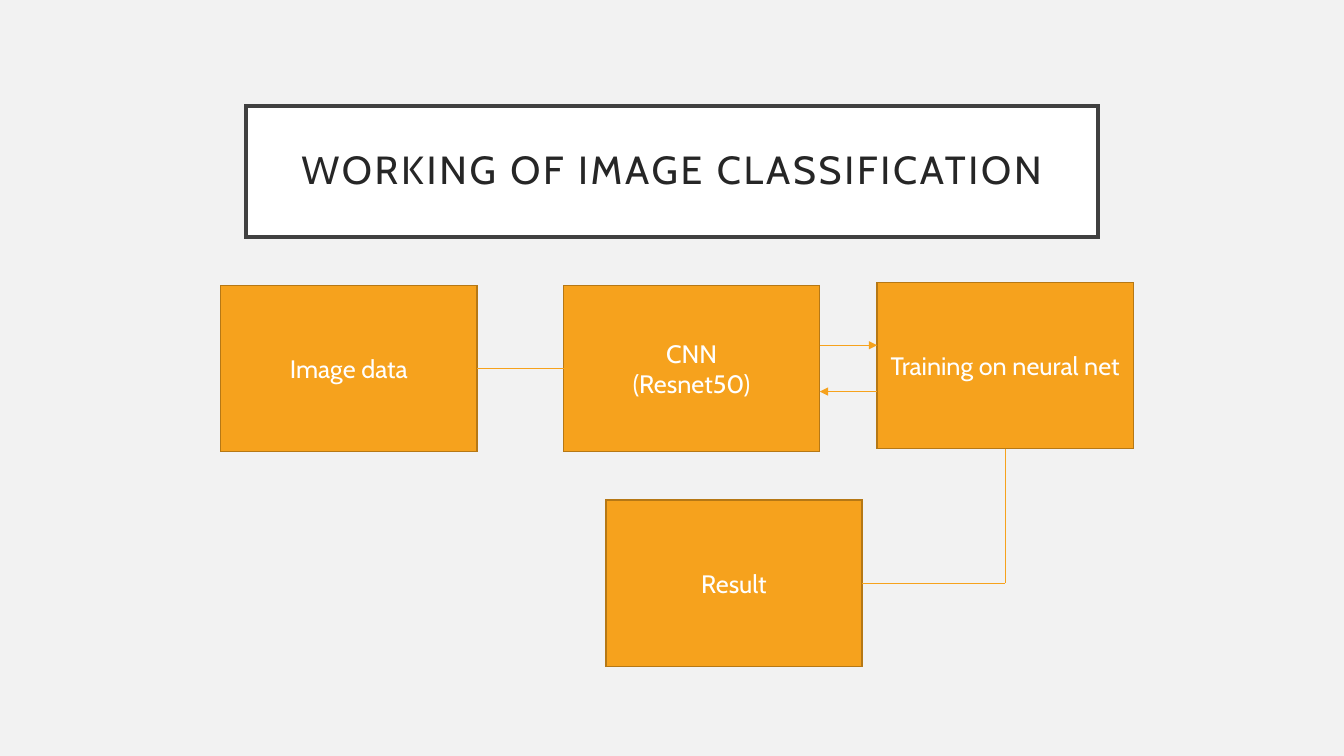
from lxml.etree import SubElement
from pptx import Presentation
from pptx.dml.color import RGBColor
from pptx.enum.shapes import MSO_CONNECTOR, MSO_SHAPE
from pptx.enum.text import MSO_ANCHOR, PP_ALIGN
from pptx.oxml.ns import qn
from pptx.util import Inches, Pt

COLORS = {
    "background": "F2F2F2", "white": "FFFFFF", "frame": "404040",
    "title": "262626", "box": "F6A21D", "edge": "B67815",
}
FONT = "Cabin"
WIDTH, HEIGHT = 13.33, 7.5
BOX_W, BOX_H = 2.54, 1.65
TITLE = "WORKING OF IMAGE CLASSIFICATION"
TITLE_AREA = (2.44, 1.05, 8.45, 1.3)
STEPS = {
    "data": ("Image data", 2.19, 2.83),
    "cnn": ("CNN\n(Resnet50)", 5.59, 2.83),
    "training": ("Training on neural net", 8.7, 2.8),
    "result": ("Result", 6.01, 4.96),
}
ARROW_OFFSET = 0.23


def rgb(name):
    return RGBColor.from_string(COLORS[name])


def add_box(slide, text, area, fill, edge, edge_width, color, size):
    sp = slide.shapes.add_shape(MSO_SHAPE.RECTANGLE, *map(Inches, area))
    sp.shadow.inherit = False
    sp.fill.solid()
    sp.fill.fore_color.rgb = rgb(fill)
    sp.line.color.rgb = rgb(edge)
    sp.line.width = Pt(edge_width)
    SubElement(sp.line._get_or_add_ln(), qn("a:miter"), lim="800000")
    tf = sp.text_frame
    tf.word_wrap = True
    tf.vertical_anchor = MSO_ANCHOR.MIDDLE
    tf.text = text
    for p in tf.paragraphs:
        p.alignment = PP_ALIGN.CENTER
        for r in p.runs:
            r.font.name = FONT
            r.font.size = Pt(size)
            r.font.color.rgb = rgb(color)
    return tf


def add_title(slide):
    tf = add_box(slide, TITLE, TITLE_AREA, "white", "frame", 2.5, "title", 28)
    tf.margin_left = tf.margin_right = Inches(0.2)
    tf.margin_top = tf.margin_bottom = Inches(0.2)
    p = tf.paragraphs[0]
    p.line_spacing = 0.9
    p.runs[0].font._element.set("spc", "200")


def add_link(slide, start, end, arrow=False):
    points = map(Inches, (*start, *end))
    cx = slide.shapes.add_connector(MSO_CONNECTOR.STRAIGHT, *points)
    cx.line.color.rgb = rgb("box")
    cx.line.width = Pt(0.5)
    if arrow:
        SubElement(cx.line._get_or_add_ln(), qn("a:tailEnd"), type="triangle")
    SubElement(cx._element.spPr, qn("a:effectLst"))


def main():
    prs = Presentation()
    prs.slide_width, prs.slide_height = Inches(WIDTH), Inches(HEIGHT)
    s = prs.slides.add_slide(prs.slide_layouts[6])
    s.background.fill.solid()
    s.background.fill.fore_color.rgb = rgb("background")

    add_title(s)
    for text, x, y in STEPS.values():
        add_box(s, text, (x, y, BOX_W, BOX_H), "box", "edge", 1, "white", 18)

    left = {key: x for key, (_, x, _) in STEPS.items()}
    right = {key: x + BOX_W for key, x in left.items()}
    middle = {key: y + BOX_H / 2 for key, (_, _, y) in STEPS.items()}
    row = middle["cnn"]
    turn = left["training"] + BOX_W / 2
    training_bottom = middle["training"] + BOX_H / 2
    corner = (turn, middle["result"])

    add_link(s, (right["data"], row), (left["cnn"], row))
    add_link(s, (right["result"], middle["result"]), corner)
    add_link(s, (turn, training_bottom), corner)
    upper, lower = row - ARROW_OFFSET, row + ARROW_OFFSET
    add_link(s, (right["cnn"], upper), (left["training"], upper), True)
    add_link(s, (left["training"], lower), (right["cnn"], lower), True)

    prs.save("out.pptx")


if __name__ == "__main__":
    main()
